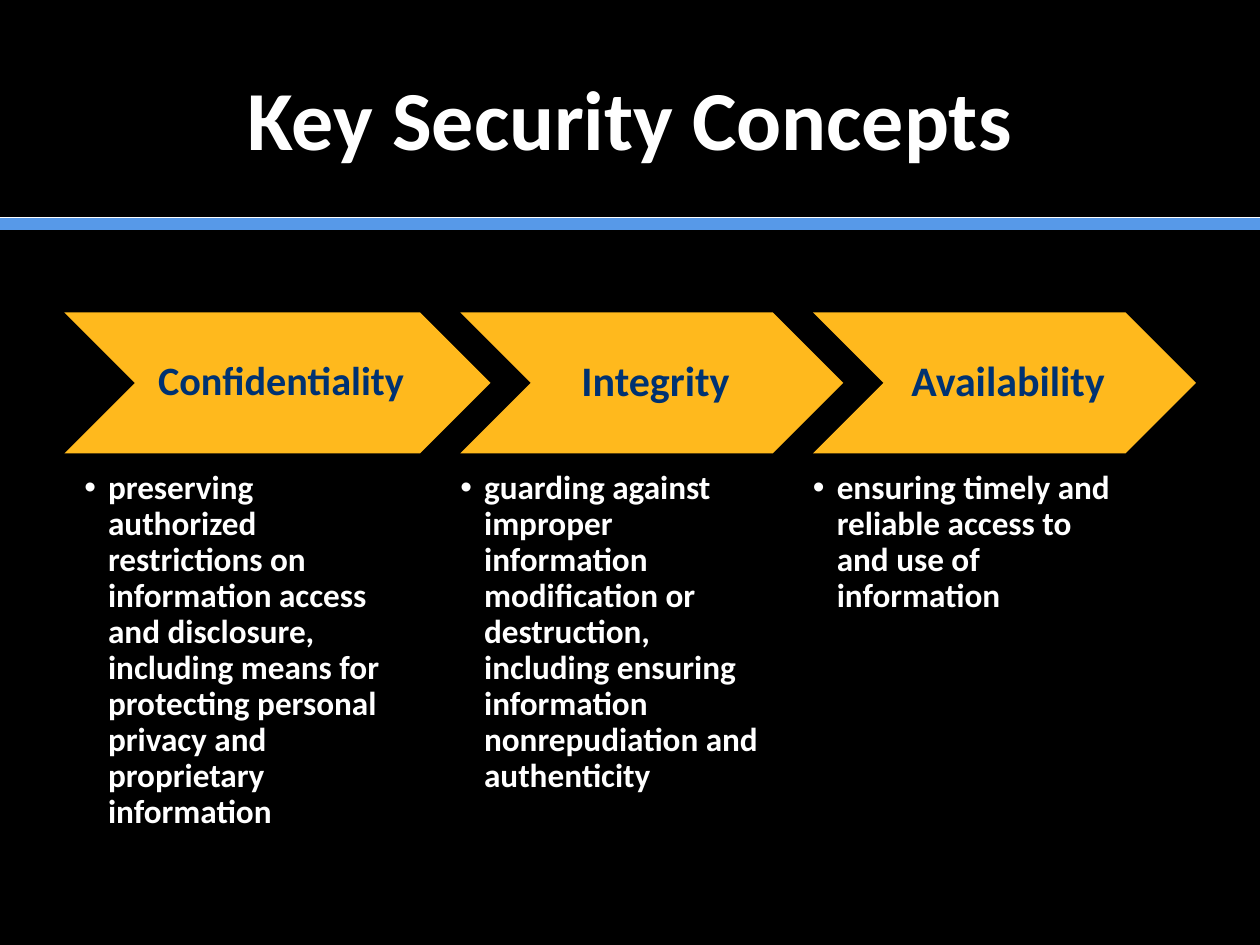
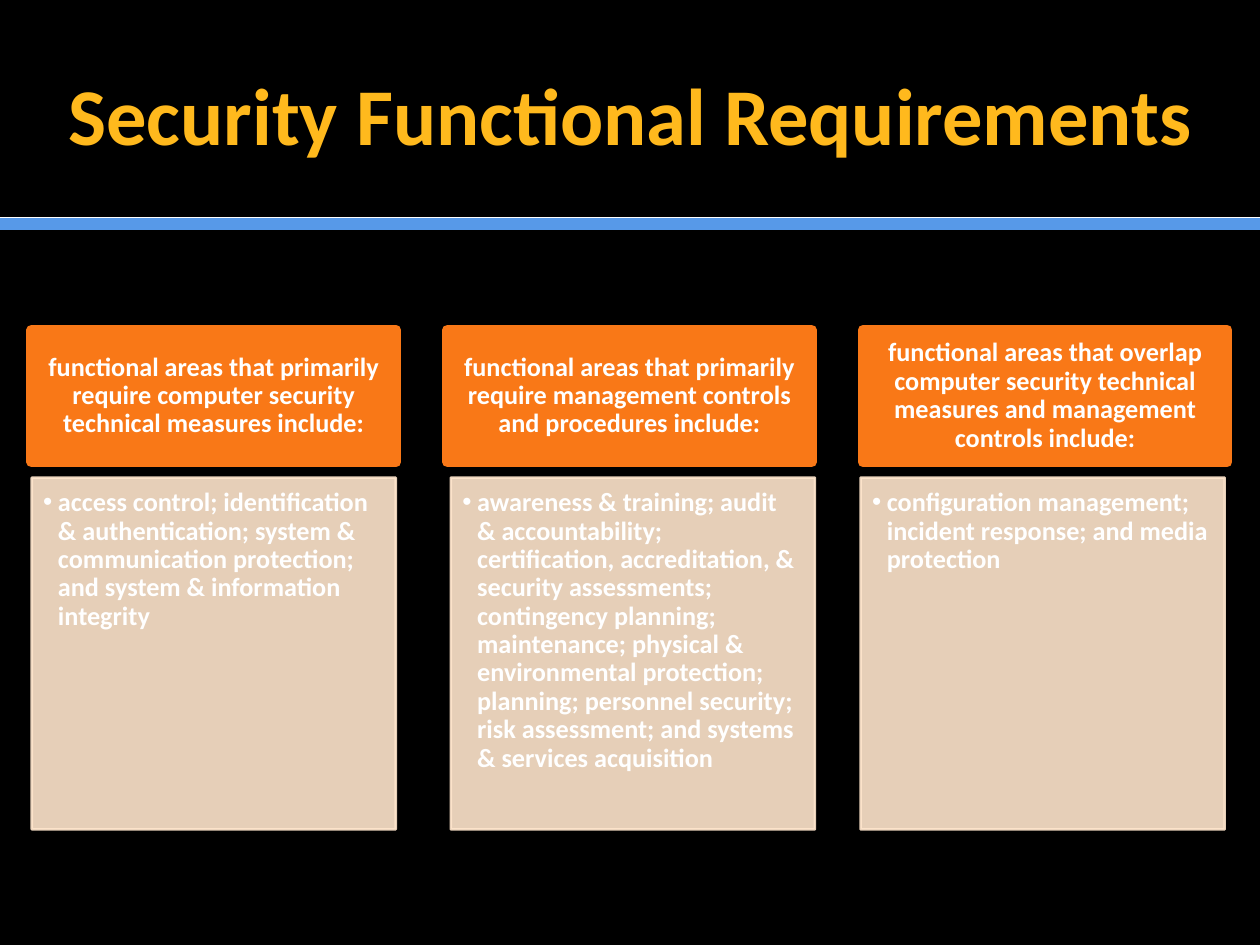
from dataclasses import dataclass
from typing import NamedTuple

from lxml.etree import SubElement
from pptx import Presentation
from pptx.dml.color import RGBColor
from pptx.enum.shapes import MSO_CONNECTOR, MSO_SHAPE
from pptx.enum.text import MSO_ANCHOR as Anchor, PP_ALIGN as Align
from pptx.oxml.ns import qn
from pptx.presentation import Presentation as Deck
from pptx.shapes.autoshape import Shape
from pptx.slide import Slide
from pptx.util import Cm, Pt


@dataclass(frozen=True)
class Theme:
    font: str = "Calibri"
    background: str = "000000"
    white: str = "FFFFFF"
    blue: str = "5799E8"
    navy: str = "003271"
    gold: str = "FFB91D"
    orange: str = "F97817"
    sand: str = "FFE6CD"
    sand_opacity: int = 90
    concept_title: int = 48
    requirement_title: int = 46
    definition: int = 19
    card: int = 15


class Box(NamedTuple):
    """Left, top, width and height in centimetres."""
    left: float
    top: float
    width: float
    height: float

    def lengths(self) -> list[Cm]:
        return [Cm(value) for value in self]


class Insets(NamedTuple):
    left: float
    top: float
    right: float
    bottom: float


class TextStyle(NamedTuple):
    size: int
    color: str
    insets: Insets
    align: Align = Align.CENTER
    anchor: Anchor = Anchor.MIDDLE
    line_spacing: float = 0.9
    hanging: float = 0  # bullet indent in centimetres; 0 means no bullet


class Concept(NamedTuple):
    name: str
    definition: str
    width: float = 7.72
    label_size: int = 24
    definition_indent: float = 0


class Requirement(NamedTuple):
    heading: str
    areas: str
    areas_left: float


THEME = Theme()
SLIDE_WIDTH, SLIDE_HEIGHT = 25.4, 19.05

TITLE_INSETS = Insets(0.25, 0.13, 0.25, 0.13)
LABEL_INSETS = Insets(0.25, 0.1, 0.1, 0.1)
DEFINITION_STYLE = TextStyle(THEME.definition, THEME.white, Insets(0, 0, 0, 0),
                             Align.LEFT, Anchor.TOP, hanging=0.48)
HEADING_STYLE = TextStyle(THEME.card, THEME.white, Insets(0.3, 0.18, 0.3, 0.18))
AREAS_STYLE = TextStyle(THEME.card, THEME.white, Insets(0.23, 0.23, 0.3, 0.33),
                        Align.LEFT, Anchor.TOP, hanging=0.3)

CHEVRON_LEFT, CHEVRON_TOP, CHEVRON_HEIGHT, CHEVRON_OVERLAP = 1.3, 6.3, 2.84, 0.61
CARD_LEFT, CARD_STEP, CARD_WIDTH = 0.64, 8.38, 7.34

CONCEPTS = [
    Concept("Confidentiality",
            "preserving authorized restrictions on information access and disclosure, "
            "including means for protecting personal privacy and proprietary information",
            width=8.59, label_size=23, definition_indent=0.4),
    Concept("Integrity",
            "guarding against improper information modification or destruction, "
            "including ensuring information nonrepudiation and authenticity"),
    Concept("Availability",
            "ensuring timely and reliable access to and use of information"),
]

REQUIREMENTS = [
    Requirement("functional areas that primarily require computer security "
                "technical measures include:",
                "access control; identification & authentication; system & "
                "communication protection; and system & information integrity", 0.64),
    Requirement("functional areas that primarily require management controls "
                "and procedures include:",
                "awareness & training; audit & accountability; certification, "
                "accreditation, & security assessments; contingency planning; "
                "maintenance; physical & environmental protection; planning; "
                "personnel security; risk assessment; and systems & services "
                "acquisition", 9.09),
    Requirement("functional areas that overlap computer security technical "
                "measures and management controls include:",
                "configuration management; incident response; and media protection",
                17.35),
]


def rgb(color: str) -> RGBColor:
    return RGBColor.from_string(color)


def write(holder: Shape, text: str, style: TextStyle) -> None:
    frame = holder.text_frame
    frame.word_wrap = True
    frame.vertical_anchor = style.anchor
    frame.margin_left, frame.margin_top, frame.margin_right, frame.margin_bottom = (
        Cm(inset) for inset in style.insets)
    paragraph = frame.paragraphs[0]
    paragraph.alignment = style.align
    paragraph.line_spacing = style.line_spacing
    if style.hanging:
        properties = paragraph._p.get_or_add_pPr()
        properties.set("marL", str(Cm(style.hanging)))
        properties.set("indent", str(-Cm(style.hanging)))
        SubElement(properties, qn("a:buFont"), typeface="Arial")
        SubElement(properties, qn("a:buChar"), char="•")
    run = paragraph.add_run()
    run.text = text
    run.font.name = THEME.font
    run.font.size = Pt(style.size)
    run.font.bold = True
    run.font.color.rgb = rgb(style.color)


def add_text(slide: Slide, box: Box, text: str, style: TextStyle) -> None:
    write(slide.shapes.add_textbox(*box.lengths()), text, style)


def add_panel(slide: Slide, kind: MSO_SHAPE, box: Box, color: str,
              text: str, style: TextStyle, outline: float = 0) -> Shape:
    panel = slide.shapes.add_shape(kind, *box.lengths())
    panel.shadow.inherit = False
    panel.fill.solid()
    panel.fill.fore_color.rgb = rgb(color)
    if outline:
        panel.line.color.rgb = rgb(color)
        panel.line.width = Pt(outline)
    else:
        panel.line.fill.background()
    write(panel, text, style)
    return panel


def set_opacity(panel: Shape, percent: int) -> None:
    """Apply the opacity to the fill and the outline alike."""
    for color in panel._element.spPr.iter(qn("a:srgbClr")):
        SubElement(color, qn("a:alpha"), val=str(percent * 1000))


def add_rule(slide: Slide, top: float, color: str, weight: float) -> None:
    rule = slide.shapes.add_connector(
        MSO_CONNECTOR.STRAIGHT, Cm(0), Cm(top), Cm(SLIDE_WIDTH), Cm(top))
    rule.line.color.rgb = rgb(color)
    rule.line.width = Pt(weight)
    SubElement(rule._element.spPr, qn("a:effectLst"))


def add_titled_slide(deck: Deck, title: str, box: Box, size: int, color: str) -> Slide:
    slide = deck.slides.add_slide(deck.slide_layouts[6])
    slide.background.fill.solid()
    slide.background.fill.fore_color.rgb = rgb(THEME.background)
    add_rule(slide, 4.52, THEME.blue, 7)
    add_rule(slide, 4.39, THEME.white, 0.5)
    add_text(slide, box, title, TextStyle(size, color, TITLE_INSETS, line_spacing=1.0))
    return slide


def build_concepts(deck: Deck) -> None:
    slide = add_titled_slide(deck, "Key Security Concepts", Box(1.27, 0.76, 22.86, 3.18),
                             THEME.concept_title, THEME.white)
    left = CHEVRON_LEFT
    for concept in CONCEPTS:
        add_panel(slide, MSO_SHAPE.CHEVRON,
                  Box(left, CHEVRON_TOP, concept.width, CHEVRON_HEIGHT), THEME.gold,
                  concept.name, TextStyle(concept.label_size, THEME.navy, LABEL_INSETS))
        add_text(slide, Box(left + concept.definition_indent, 9.5, 6.17, 7.49),
                 concept.definition, DEFINITION_STYLE)
        left += concept.width - CHEVRON_OVERLAP


def build_requirements(deck: Deck) -> None:
    slide = add_titled_slide(deck, "Security Functional Requirements",
                             Box(0, 0.64, SLIDE_WIDTH, 3.3),
                             THEME.requirement_title, THEME.gold)
    for column, requirement in enumerate(REQUIREMENTS):
        add_panel(slide, MSO_SHAPE.RECTANGLE,
                  Box(CARD_LEFT + column * CARD_STEP, 6.65, CARD_WIDTH, 2.67),
                  THEME.orange, requirement.heading, HEADING_STYLE, outline=6)
        areas = add_panel(slide, MSO_SHAPE.RECTANGLE,
                          Box(requirement.areas_left, 9.63, CARD_WIDTH, 7.09),
                          THEME.sand, requirement.areas, AREAS_STYLE, outline=1.5)
        set_opacity(areas, THEME.sand_opacity)


def main() -> None:
    deck = Presentation()
    deck.slide_width, deck.slide_height = Cm(SLIDE_WIDTH), Cm(SLIDE_HEIGHT)
    build_concepts(deck)
    build_requirements(deck)
    deck.save("out.pptx")


if __name__ == "__main__":
    main()
